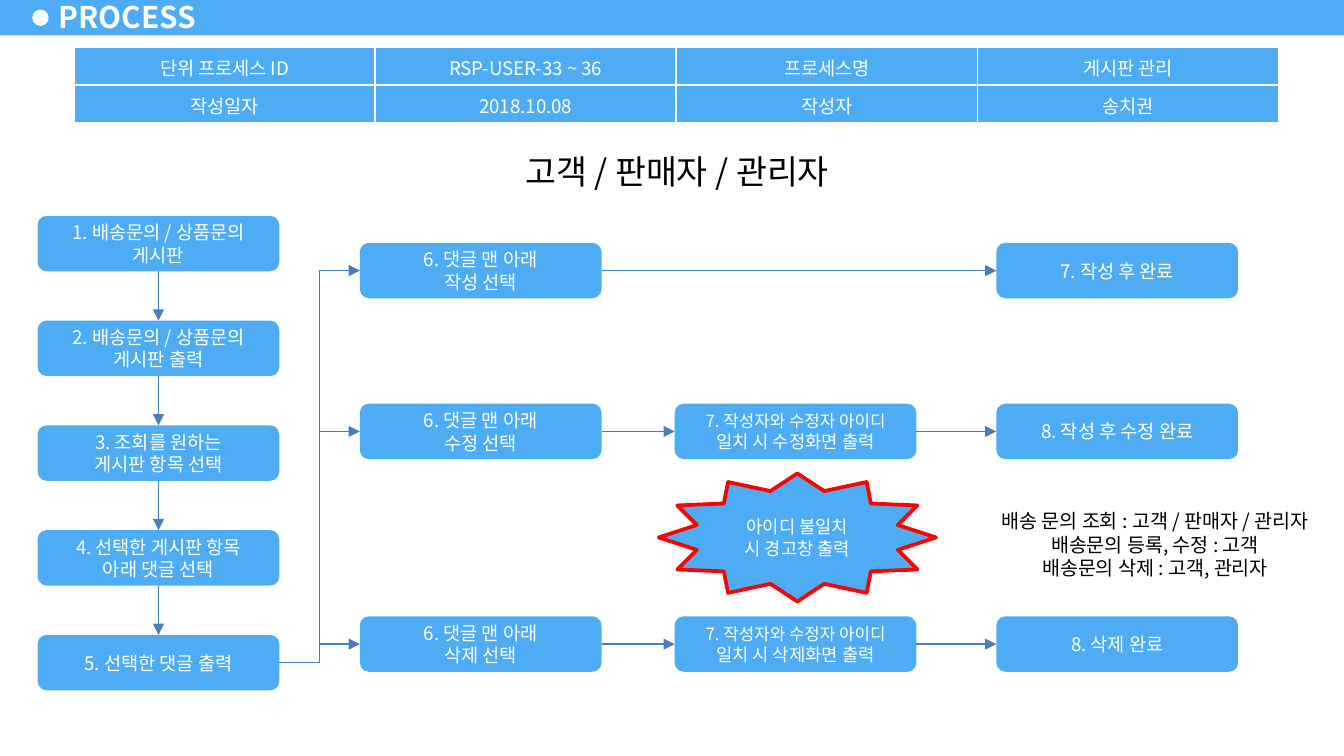
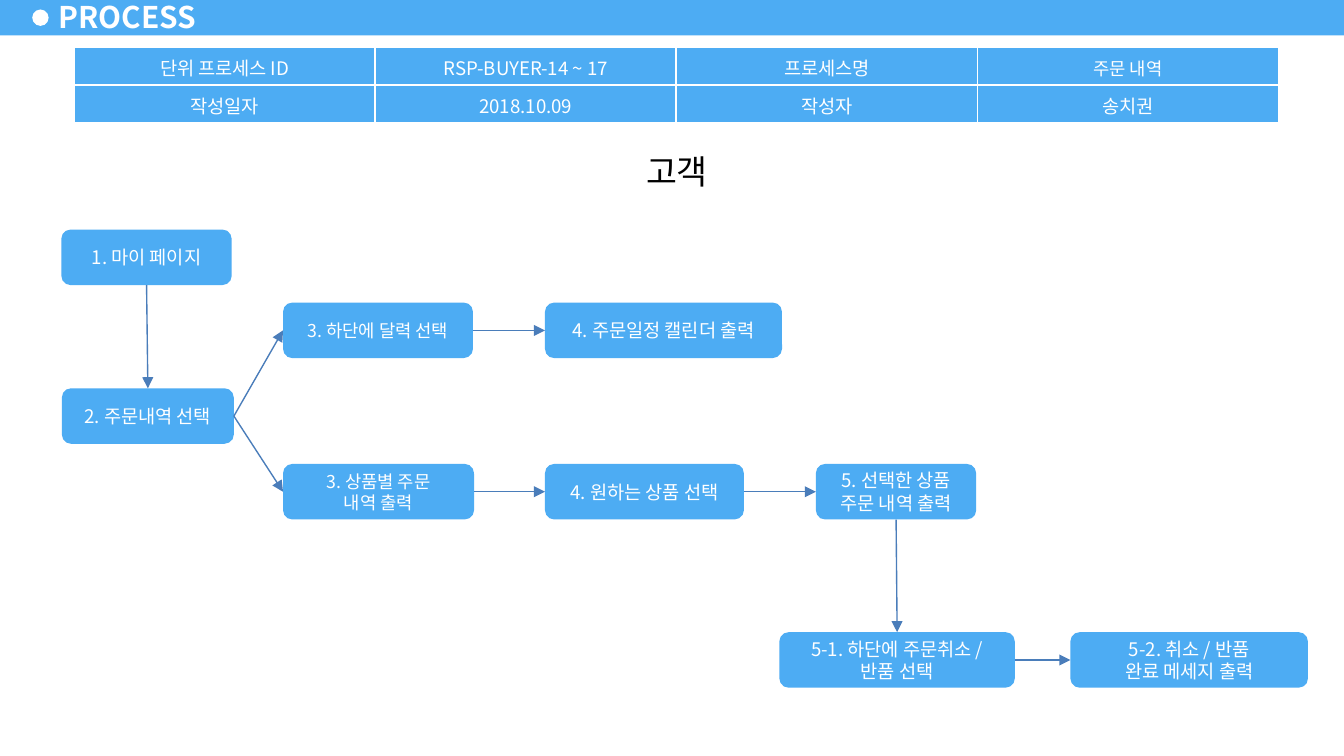
from lxml import etree
from pptx import Presentation
from pptx.dml.color import RGBColor
from pptx.enum.shapes import MSO_CONNECTOR, MSO_SHAPE
from pptx.enum.text import MSO_ANCHOR, MSO_AUTO_SIZE, PP_ALIGN
from pptx.oxml import parse_xml
from pptx.oxml.ns import nsdecls, qn
from pptx.util import Cm, Pt

RECT, OVAL = MSO_SHAPE.RECTANGLE, MSO_SHAPE.OVAL
ROUNDED, STAR = MSO_SHAPE.ROUNDED_RECTANGLE, MSO_SHAPE.STAR_12_POINT
STRAIGHT, ELBOW = MSO_CONNECTOR.STRAIGHT, MSO_CONNECTOR.ELBOW
TOP_ANCHOR, MIDDLE = MSO_ANCHOR.TOP, MSO_ANCHOR.MIDDLE
CENTER, LEFT_ALIGN = PP_ALIGN.CENTER, PP_ALIGN.LEFT
GROW = MSO_AUTO_SIZE.SHAPE_TO_FIT_TEXT
TOP, LEFT, BOTTOM, RIGHT = range(4)  # connection sites of a box

FONT = "Noto Sans CJK KR"
BLUE, WHITE, BLACK, RED, ARROW = "4DACF3", "FFFFFF", "000000", "FF0000", "4A7DBA"
BOX_HEIGHT = 1.05
rgb = RGBColor.from_string


def add_box(page, kind, place, fill):
    box = page.shapes.add_shape(kind, *[Cm(length) for length in place])
    box.shadow.inherit = False
    box.fill.solid()
    box.fill.fore_color.rgb = rgb(fill)
    box.line.fill.background()
    return box


def write(frame, lines, sizes, color=WHITE, align=CENTER, anchor=MIDDLE, bold=False):
    """Write one paragraph per line, each with its own size."""
    frame.word_wrap = True
    frame.vertical_anchor = anchor
    for index, (line, size) in enumerate(zip(lines, sizes)):
        para = frame.add_paragraph() if index else frame.paragraphs[0]
        para.alignment = align
        span = para.add_run()
        span.text = line
        span.font.size = Pt(size)
        span.font.bold = bold
        span.font.name = FONT
        span.font.color.rgb = rgb(color)
        etree.SubElement(span.font._element, qn("a:ea")).set("typeface", FONT)


# Board flow: name -> (left, top, width, lines, sizes)
TEN = (10, 10)
board_boxes = {}
steps = [
    ["1. 배송문의 / 상품문의 게시판"],
    ["2. 배송문의 / 상품문의 게시판 출력"],
    ["3. 조회를 원하는", "게시판 항목 선택"],
    ["4. 선택한 게시판 항목", "아래 댓글 선택"],
    ["5. 선택한 댓글 출력"],
]
for number, lines in enumerate(steps):
    board_boxes[f"step {number + 1}"] = (0.71, 4.08 + 1.98 * number, 4.57, lines, TEN)

branches = [
    ("작성", 4.59, None, "7. 작성 후 완료"),
    ("수정", 7.63, "수정", "8. 작성 후 수정 완료"),
    ("삭제", 11.65, "삭제", "8. 삭제 완료"),
]
# Links: (kind, begin box, begin side, end box, end side)
board_links = [(STRAIGHT, f"step {n}", BOTTOM, f"step {n + 1}", TOP) for n in range(1, 5)]
for action, top, check, result in branches:
    board_boxes[action] = (6.8, top, 4.57, ["6. 댓글 맨 아래", f"{action} 선택"], TEN)
    chain = [action]
    if check:
        lines = ["7. 작성자와 수정자 아이디", f"일치 시 {check}화면 출력"]
        board_boxes[f"check {action}"] = (12.75, top, 4.57, lines, (9, 9.5))
        chain.append(f"check {action}")
        board_links.append((STRAIGHT, None, None, action, LEFT))
    else:
        board_links.append((ELBOW, "step 5", RIGHT, action, LEFT))
    board_boxes[f"end {action}"] = (18.83, top, 4.57, [result], TEN)
    chain.append(f"end {action}")
    board_links += [(STRAIGHT, a, RIGHT, b, LEFT) for a, b in zip(chain, chain[1:])]

# Order flow
order_boxes = {
    "my page": (1.16, 4.34, 3.22, ["1. 마이 페이지"], TEN),
    "orders": (1.17, 7.34, 3.25, ["2. 주문내역 선택"], TEN),
    "pick date": (5.35, 5.72, 3.59, ["3. 하단에 달력 선택"], (9.5,)),
    "calendar": (10.3, 5.72, 4.48, ["4. 주문일정 캘린더 출력"], TEN),
    "by item": (5.35, 8.77, 3.61, ["3. 상품별 주문", "내역 출력"], (9.5, 9.5)),
    "pick item": (10.3, 8.77, 3.76, ["4. 원하는 상품 선택"], TEN),
    "details": (15.42, 8.77, 3.03, ["5. 선택한 상품", "주문 내역 출력"], TEN),
    "cancel": (14.73, 11.95, 4.45, ["5-1. 하단에 주문취소 /", "반품 선택"], TEN),
    "done": (20.23, 11.95, 4.49, ["5-2. 취소 / 반품", "완료 메세지 출력"], TEN),
}
order_links = [
    (STRAIGHT, "my page", BOTTOM, "orders", TOP),
    (STRAIGHT, "orders", RIGHT, "pick date", LEFT),
    (STRAIGHT, "orders", RIGHT, "by item", LEFT),
    (STRAIGHT, "pick date", RIGHT, "calendar", LEFT),
    (STRAIGHT, "by item", RIGHT, "pick item", LEFT),
    (STRAIGHT, "pick item", RIGHT, "details", LEFT),
    (STRAIGHT, "details", BOTTOM, "cancel", TOP),
    (STRAIGHT, "cancel", RIGHT, "done", LEFT),
]

# Process ID, process name, name size, date, actors, boxes, links
flows = [
    ("RSP-USER-33 ~ 36", "게시판 관리", 10, "2018.10.08", "고객 / 판매자 / 관리자",
     board_boxes, board_links),
    ("RSP-BUYER-14 ~ 17", "주문 내역", 9.5, "2018.10.09", "고객",
     order_boxes, order_links),
]

deck = Presentation()
deck.slide_width, deck.slide_height = Cm(25.4), Cm(14.29)

for process_id, name, name_size, date, actors, boxes, links in flows:
    page = deck.slides.add_slide(deck.slide_layouts[6])

    # Title band
    add_box(page, RECT, (0, -0.05, 25.4, 0.72), BLUE)
    add_box(page, OVAL, (0.61, 0.18, 0.31, 0.31), WHITE)
    title = page.shapes.add_textbox(Cm(0.88), Cm(-0.1), Cm(3.1), Cm(0.81)).text_frame
    title.margin_left = title.margin_right = Cm(0.23)
    title.margin_top = title.margin_bottom = Cm(0.11)
    write(title, ["PROCESS"], [16], align=LEFT_ALIGN, bold=True)

    # Actors
    heading = add_box(page, RECT, (8.26, 2.72, 9.07, 1.04), WHITE)
    write(heading.text_frame, [actors], [18], BLACK, anchor=TOP_ANCHOR)
    heading.text_frame.auto_size = GROW

    # Process table
    table = page.shapes.add_table(2, 4, Cm(1.4), Cm(0.9), Cm(22.76), Cm(1.42)).table
    table.first_row = table.horz_banding = False
    for column in table.columns:
        column.width = Cm(5.69)
    rows = [["단위 프로세스 ID", process_id, "프로세스명", name],
            ["작성일자", date, "작성자", "송치권"]]
    for row_index, row in enumerate(rows):
        table.rows[row_index].height = Cm(0.71)
        for column_index, text in enumerate(row):
            cell = table.cell(row_index, column_index)
            cell.margin_left = cell.margin_right = Cm(0.25)
            cell.margin_top = cell.margin_bottom = Cm(0.13)
            write(cell.text_frame, [text], [name_size if text == name else 10])
            cell.vertical_anchor = MIDDLE
            cell.fill.solid()
            cell.fill.fore_color.rgb = rgb(BLUE)
            for position, side in enumerate(("lnL", "lnR", "lnT", "lnB")):
                cell._tc.get_or_add_tcPr().insert(position, parse_xml(
                    f'<a:{side} {nsdecls("a")} w="{Pt(1)}"><a:solidFill>'
                    f'<a:srgbClr val="{WHITE}"/></a:solidFill></a:{side}>'))

    # Flow boxes
    drawn = {}
    for key, (left, top, width, lines, sizes) in boxes.items():
        drawn[key] = add_box(page, ROUNDED, (left, top, width, BOX_HEIGHT), BLUE)
        write(drawn[key].text_frame, lines, sizes)

    # Arrows; one without a begin box leaves the trunk left of its target
    for kind, begin, begin_side, end, end_side in links:
        target = drawn[end]
        middle = target.top + target.height // 2
        arrow = page.shapes.add_connector(
            kind, target.left - Cm(0.76), middle, target.left, middle)
        if begin:
            arrow.begin_connect(drawn[begin], begin_side)
        arrow.end_connect(target, end_side)
        arrow.line.color.rgb = rgb(ARROW)
        arrow.line.width = Pt(0.75)
        etree.SubElement(arrow.line._get_or_add_ln(), qn("a:tailEnd")).set("type", "triangle")
        etree.SubElement(arrow._element.spPr, qn("a:effectLst"))

# Warning and permissions on the board page
page = deck.slides[0]
warning = add_box(page, STAR, (12.45, 8.95, 5.24, 2.42), BLUE)
warning.line.color.rgb = rgb(RED)
warning.line.width = Pt(2)
write(warning.text_frame, ["아이디 불일치", "시 경고창 출력"], (9.5, 9.5))

permissions = add_box(page, RECT, (18.26, 9.5, 7.14, 1.6), WHITE)
write(permissions.text_frame,
      ["배송 문의 조회 : 고객 / 판매자 / 관리자",
       "배송문의 등록, 수정 : 고객",
       "배송문의 삭제 : 고객, 관리자"],
      (10.5, 10.5, 10.5), BLACK, anchor=TOP_ANCHOR)
permissions.text_frame.auto_size = GROW

deck.save("out.pptx")
